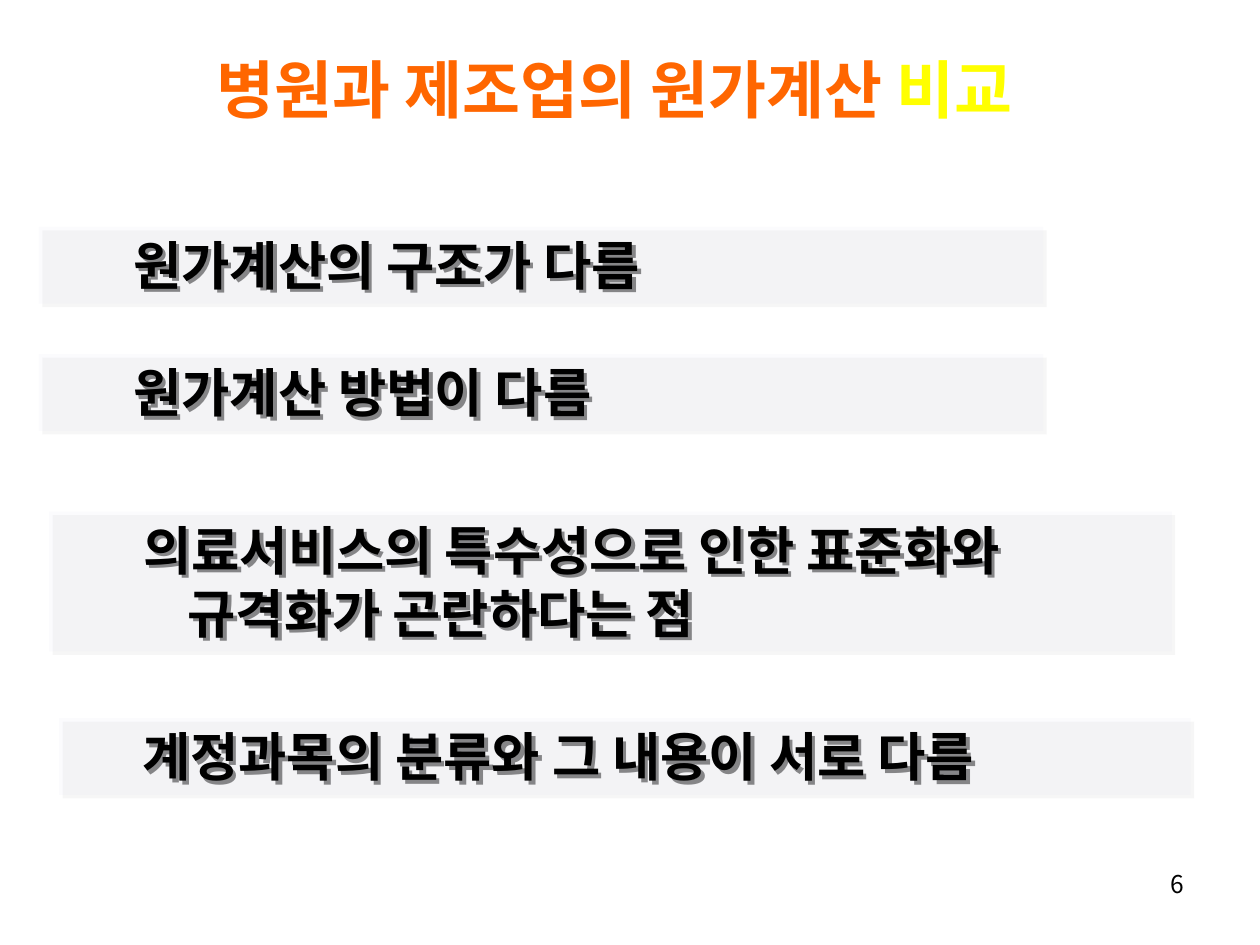
from dataclasses import dataclass

from lxml import etree
from pptx import Presentation
from pptx import util as u
from pptx.dml.color import RGBColor
from pptx.enum import shapes, text
from pptx.oxml.ns import qn

COLORS = {
    "band": "D1D1F0",
    "shadow": "808080",
    "ink": "000000",
    "title": "FF6600",
    "accent": "FFFF00",
}
KOREAN = "Noto Sans CJK KR"


@dataclass
class Line:
    wording: str
    indent: float


@dataclass
class Band:
    left: float
    top: float
    width: float
    height: float
    lines: list[Line]


BANDS = [
    Band(0.31, 1.8, 7.97, 0.61, [Line("원가계산의 구조가 다름", 0.65)]),
    Band(0.31, 2.81, 7.97, 0.61, [Line("원가계산 방법이 다름", 0.65)]),
    Band(0.39, 4.06, 8.91, 1.11, [
        Line("의료서비스의 특수성으로 인한 표준화와", 0.65),
        Line("규격화가 곤란하다는 점", 1.0),
    ]),
    Band(0.47, 5.7, 8.98, 0.61, [Line("계정과목의 분류와 그 내용이 서로 다름", 0.56)]),
]


def rgb(key: str) -> RGBColor:
    return RGBColor.from_string(COLORS[key])


def add_shadow(effects, key: str, distance: float) -> None:
    shadow = etree.SubElement(effects, qn("a:outerShdw"), blurRad="0",
                              dist=str(u.Pt(distance)), dir="2700000", algn="ctr")
    etree.SubElement(shadow, qn("a:srgbClr"), val=COLORS[key])


def style(paragraph, size: float, spacing: float, bold: bool = False) -> None:
    paragraph.line_spacing = u.Pt(spacing)
    paragraph.font.size = u.Pt(size)
    paragraph.font.bold = bold
    paragraph.font.name = KOREAN
    paragraph.font.color.rgb = rgb("ink")
    defaults = paragraph._p.pPr.find(qn("a:defRPr"))
    etree.SubElement(defaults, qn("a:ea"), typeface=KOREAN)


def draw_band(slide, band: Band) -> None:
    bar = slide.shapes.add_shape(
        shapes.MSO_SHAPE.RECTANGLE, u.Inches(band.left), u.Inches(band.top),
        u.Inches(band.width), u.Inches(band.height))
    bar.fill.solid()
    bar.fill.fore_color.rgb = rgb("band")
    tint = bar._element.spPr.find(qn("a:solidFill"))[0]
    etree.SubElement(tint, qn("a:alpha"), val="7000")
    bar.line.fill.background()
    bar.shadow.inherit = False
    add_shadow(bar._element.spPr.find(qn("a:effectLst")), "shadow", 2.8)
    frame = bar.text_frame
    frame.word_wrap = True
    frame.vertical_anchor = text.MSO_ANCHOR.TOP
    for index, line in enumerate(band.lines):
        paragraph = frame.add_paragraph() if index else frame.paragraphs[0]
        paragraph.text = line.wording
        paragraph.alignment = text.PP_ALIGN.LEFT
        paragraph._p.get_or_add_pPr().set("marL", str(u.Inches(line.indent)))
        style(paragraph, 30, 36, bold=True)


def add_text_area(slide, left: float, top: float, width: float, height: float):
    area = slide.shapes.add_textbox(
        u.Inches(left), u.Inches(top), u.Inches(width), u.Inches(height))
    area.text_frame.word_wrap = True
    return area.text_frame.paragraphs[0]


def draw_title(slide) -> None:
    title = add_text_area(slide, 1.17, 0.31, 7.41, 1.25)
    title.alignment = text.PP_ALIGN.CENTER
    style(title, 36, 46, bold=True)
    for wording, color, font in (("병원과 제조업의 원가계산 ", "title", "Arial"),
                                 ("비교", "accent", KOREAN)):
        run = title.add_run()
        run.text = wording
        run.font.color.rgb = rgb(color)
        properties = run._r.get_or_add_rPr()
        add_shadow(etree.SubElement(properties, qn("a:effectLst")), "ink", 2.8)
        run.font.name = font
        etree.SubElement(properties, qn("a:ea"), typeface=KOREAN)


def draw_page_number(slide) -> None:
    number = add_text_area(slide, 7.17, 6.83, 2.33, 0.52)
    number.text = "6"
    number.alignment = text.PP_ALIGN.RIGHT
    style(number, 14, 18)


def main() -> None:
    """Build the slide comparing hospital and manufacturing costing."""
    deck = Presentation()
    deck.slide_width, deck.slide_height = u.Inches(10), u.Inches(7.5)
    slide = deck.slides.add_slide(deck.slide_layouts[6])
    draw_title(slide)
    for band in BANDS:
        draw_band(slide, band)
    draw_page_number(slide)
    deck.save("out.pptx")


if __name__ == "__main__":
    main()
